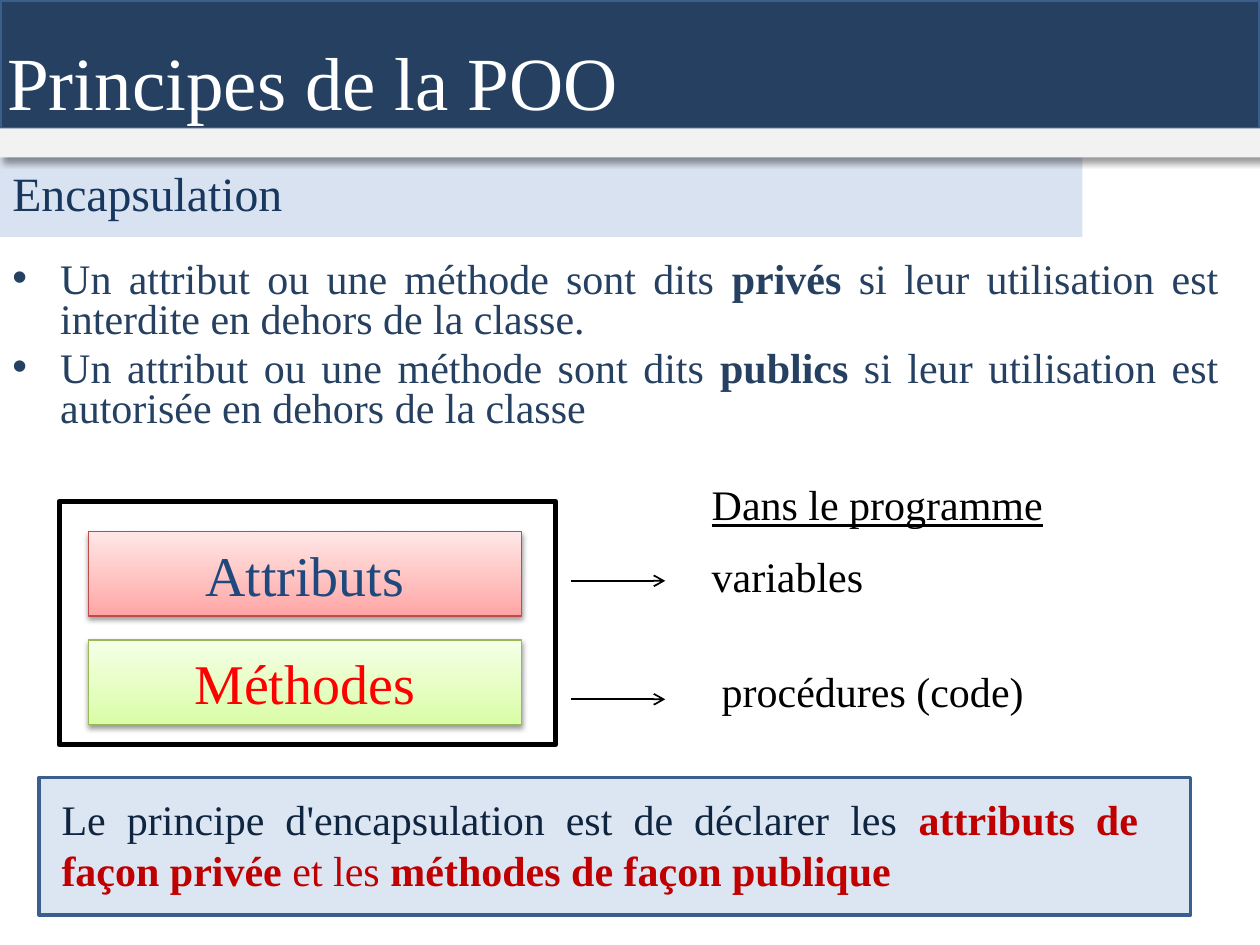
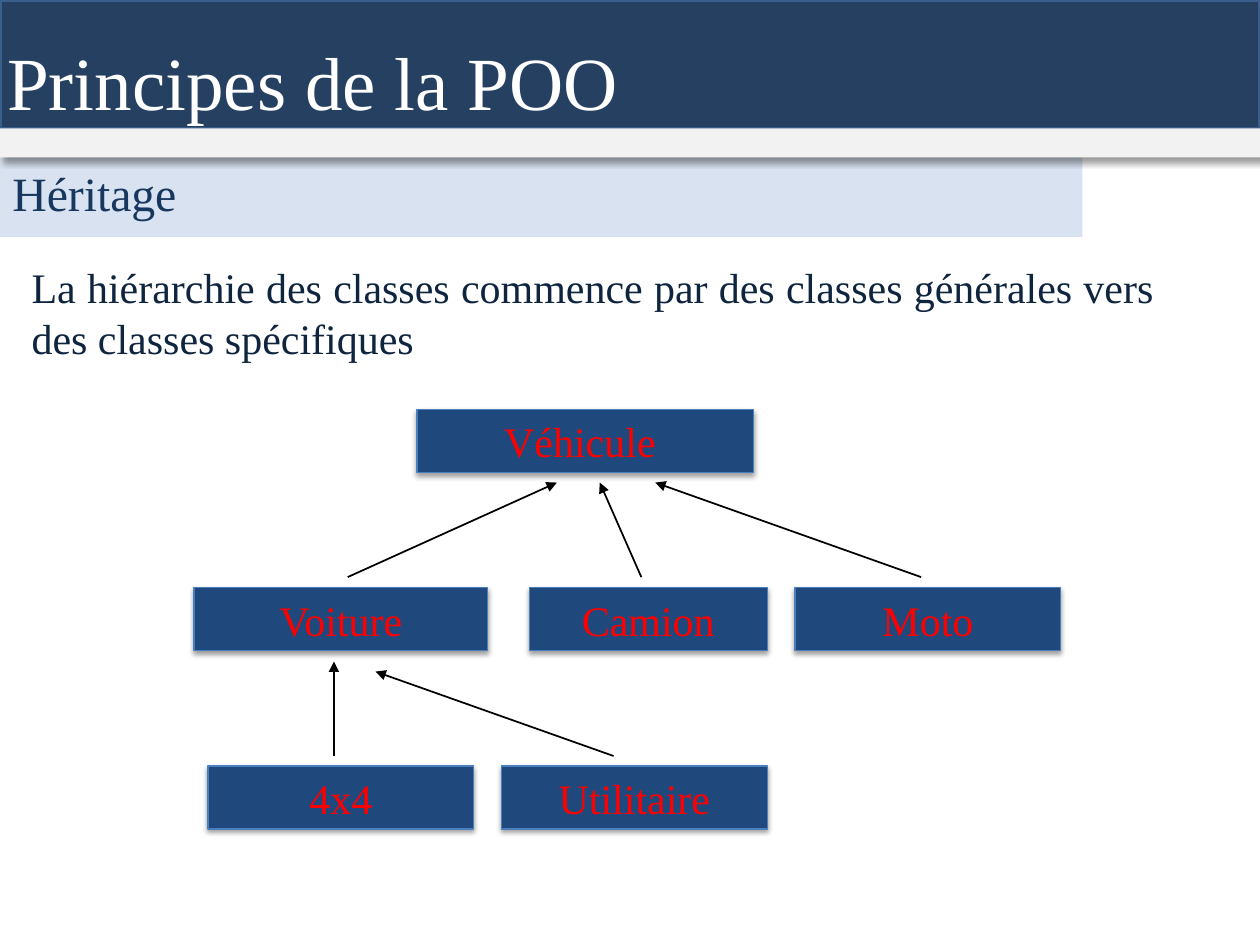
"""Build two slides on object-oriented principles: encapsulation and inheritance."""
from lxml import etree
from pptx import Presentation
from pptx import util as u
from pptx.dml.color import RGBColor
from pptx.enum import shapes, text
from pptx.oxml.ns import qn

NAVY, BLUE, EDGE, INK = "254061", "1F497D", "3A5F8C", "0F243E"
RED, DARK_RED, BLACK, WHITE = "FF0000", "C00000", "000000", "FFFFFF"
FONT = "Times New Roman"
BAND_SHADOW = (40, 4, 3, 45)
CARD_SHADOW = (38, 3.1, 1.6, 90)
TOP, MIDDLE = text.MSO_ANCHOR.TOP, text.MSO_ANCHOR.MIDDLE
LEFT, CENTER, JUSTIFY = text.PP_ALIGN.LEFT, text.PP_ALIGN.CENTER, text.PP_ALIGN.JUSTIFY

presentation = Presentation()
presentation.slide_width, presentation.slide_height = u.Inches(10), u.Inches(7.5)
COLUMN = presentation.slide_width / 100
ROW = presentation.slide_height / 75


def color(hex_string):
    return RGBColor.from_string(hex_string)


def add_box(slide, place, paragraphs=(), fill=None, line=None, weight=0.75, shadow=None,
            size=24, ink=BLACK, align=LEFT, anchor=TOP, gap=0):
    left, top, width, height = place
    bounds = [round(value) for value in (left * COLUMN, top * ROW, width * COLUMN, height * ROW)]
    if fill or line:
        shape = slide.shapes.add_shape(shapes.MSO_SHAPE.RECTANGLE, *bounds)
        shape.shadow.inherit = False
        if isinstance(fill, tuple):
            shape.fill.gradient()
            shape.fill.gradient_angle = 90
            for stop, tone in zip(shape.fill.gradient_stops, fill):
                stop.color.rgb = color(tone)
        elif fill:
            shape.fill.solid()
            shape.fill.fore_color.rgb = color(fill)
        else:
            shape.fill.background()
        if line:
            shape.line.color.rgb = color(line)
            shape.line.width = u.Pt(weight)
        else:
            shape.line.fill.background()
    else:
        shape = slide.shapes.add_textbox(*bounds)
    if shadow:
        opacity, blur, distance, angle = shadow
        effects = shape.element.spPr.find(qn("a:effectLst"))
        outer = etree.SubElement(effects, qn("a:outerShdw"), blurRad=str(u.Pt(blur)),
                                 dist=str(u.Pt(distance)), dir=str(angle * 60000), rotWithShape="0")
        tone = etree.SubElement(outer, qn("a:srgbClr"), val=BLACK)
        etree.SubElement(tone, qn("a:alpha"), val=str(opacity * 1000))
    frame = shape.text_frame
    frame.word_wrap = True
    frame.vertical_anchor = anchor
    for index, pieces in enumerate(paragraphs):
        paragraph = frame.add_paragraph() if index else frame.paragraphs[0]
        paragraph.alignment = align
        if index:
            paragraph.space_before = u.Pt(gap)
        for piece in pieces:
            run = paragraph.add_run()
            run.text = piece
            run.font.name, run.font.size = FONT, u.Pt(size)
            run.font.color.rgb = color(ink)
    return shape


slides = []
for subtitle in ("Encapsulation", "Héritage"):
    slide = presentation.slides.add_slide(presentation.slide_layouts[6])
    slides.append(slide)
    add_box(slide, (0, 0, 100, 10.2), fill=NAVY, line=EDGE, weight=2, shadow=BAND_SHADOW)
    title = add_box(slide, (-0.4, 3, 72.9, 7.7), [["Principes de la POO"]],
                    size=42.9, ink=WHITE, anchor=MIDDLE)
    title.text_frame.paragraphs[0].line_spacing = 0.9
    add_box(slide, (0, 12.5, 85.9, 6.3), fill="D8E2F0")
    add_box(slide, (0, 10.2, 100, 2.3), fill="F2F2F2", shadow=BAND_SHADOW)
    add_box(slide, (0, 12.5, 72.9, 7.7), [[subtitle]], size=27.3, ink="17375E")
encapsulation, inheritance = slides

definitions = add_box(encapsulation, (0, 20.3, 97.7, 14.8), [
    ["Un attribut ou une méthode sont dits ", "privés",
     " si leur utilisation est interdite en dehors de la classe."],
    ["Un attribut ou une méthode sont dits ", "publics",
     " si leur utilisation est autorisée en dehors de la classe"],
], ink=NAVY, align=JUSTIFY, gap=5)
for paragraph in definitions.text_frame.paragraphs:
    paragraph.line_spacing = 0.8
    paragraph.runs[1].font.bold = True
    properties = paragraph._p.get_or_add_pPr()
    properties.set("marL", str(u.Inches(0.38)))
    properties.set("indent", str(u.Inches(-0.38)))
    etree.SubElement(properties, qn("a:buFont"), typeface="Arial")
    etree.SubElement(properties, qn("a:buChar"), char="•")

members = [("Attributs", ("FFA6A5", "FFE7E7"), "BF4C48", BLUE),
           ("Méthodes", ("DAFDA7", "F5FFE7"), "98B955", RED)]
for index, (name, gradient, edge, ink) in enumerate(members):
    add_box(encapsulation, (7, 42.2 + 8.6 * index, 34.4, 6.7), [[name]], fill=gradient, line=edge,
            shadow=CARD_SHADOW, size=32, ink=ink, align=CENTER, anchor=MIDDLE)
add_box(encapsulation, (4.7, 39.8, 39.4, 19.3), line=BLACK, weight=3)
program = add_box(encapsulation, (55.5, 37.5, 44.5, 11.1),
                  [["Dans le programme"], ["variables"]], gap=12)
program.text_frame.paragraphs[0].runs[0].font.underline = True
add_box(encapsulation, (56.3, 52.3, 37.3, 5), [["procédures (code)"]])

add_box(encapsulation, (3.1, 61.7, 91.4, 10.9), fill="DCE6F2", line=EDGE, weight=2)
principle = add_box(encapsulation, (3.9, 62.5, 87.4, 9.1), [
    ["Le principe d'encapsulation est de déclarer les ", "attributs de façon privée",
     " et les ", "méthodes de façon publique"]], ink=INK, align=JUSTIFY)
for index, run in enumerate(principle.text_frame.paragraphs[0].runs):
    run.font.bold = index % 2 == 1
    if index:
        run.font.color.rgb = color(DARK_RED)

hierarchy = add_box(inheritance, (-2.3, 20.3, 94.9, 12.1), [
    ["La hiérarchie des classes commence par des classes générales vers des classes spécifiques"]],
    ink=INK, align=JUSTIFY)
hierarchy.text_frame.margin_left = u.Inches(0.48)

classes = [("Véhicule ", 33.1, 0, 26.7), ("Voiture", 15.4, 1, 23.3), ("Camion", 42, 1, 18.9),
           ("Moto", 63.1, 1, 21.1), ("4x4", 16.5, 2, 21.1), ("Utilitaire", 39.8, 2, 21.1)]
for name, left, level, width in classes:
    add_box(inheritance, (left, 32.5 + 14.15 * level, width, 5), [[name]], fill=BLUE, line="4B7EBC",
            shadow=CARD_SHADOW, ink=RED, align=CENTER, anchor=MIDDLE)

arrows = [(encapsulation, "arrow", 45.3, 46.1, 52.8, 46.1),
          (encapsulation, "arrow", 45.3, 55.5, 52.8, 55.5),
          (inheritance, "triangle", 27.6, 45.8, 44.2, 38.3),
          (inheritance, "triangle", 50.9, 45.8, 47.6, 38.3),
          (inheritance, "triangle", 73.1, 45.8, 52, 38.3),
          (inheritance, "triangle", 26.5, 60, 26.5, 52.5),
          (inheritance, "triangle", 48.7, 60, 29.8, 53.3)]
for slide, head, start_x, start_y, end_x, end_y in arrows:
    connector = slide.shapes.add_connector(
        shapes.MSO_CONNECTOR.STRAIGHT, round(start_x * COLUMN), round(start_y * ROW),
        round(end_x * COLUMN), round(end_y * ROW))
    connector.line.color.rgb = color(BLACK)
    connector.line.width = u.Pt(1)
    outline = connector.element.spPr.find(qn("a:ln"))
    etree.SubElement(outline, qn("a:tailEnd"), type=head)
    etree.SubElement(connector.element.spPr, qn("a:effectLst"))

presentation.save("out.pptx")
